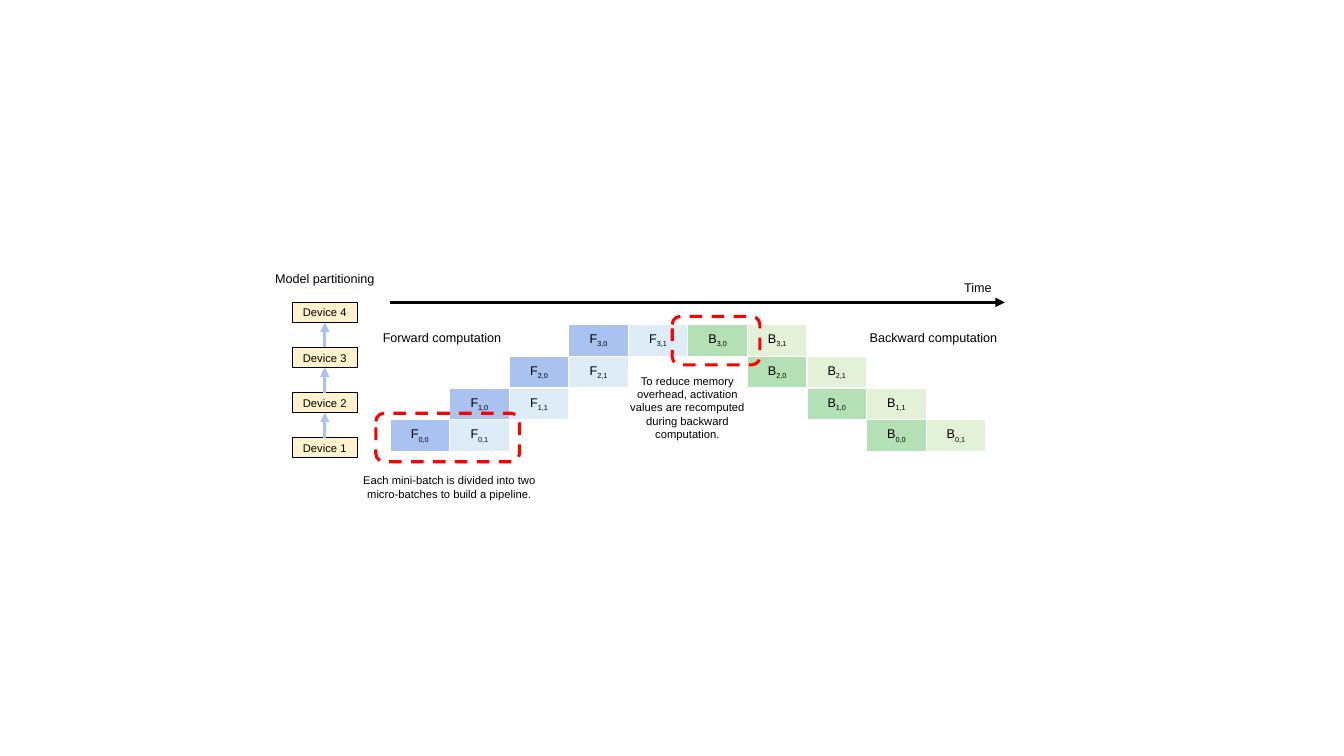
from dataclasses import dataclass

from lxml import etree
from pptx import Presentation
from pptx.dml.color import RGBColor
from pptx.enum.dml import MSO_LINE
from pptx.enum.shapes import MSO_CONNECTOR, MSO_SHAPE
from pptx.enum.text import MSO_ANCHOR, PP_ALIGN
from pptx.oxml.ns import qn
from pptx.util import Pt

RECT, ROUND = MSO_SHAPE.RECTANGLE, MSO_SHAPE.ROUNDED_RECTANGLE
STRAIGHT, DASH = MSO_CONNECTOR.STRAIGHT, MSO_LINE.DASH
LEFT, CENTER, MIDDLE = PP_ALIGN.LEFT, PP_ALIGN.CENTER, MSO_ANCHOR.MIDDLE
NO_MARGINS = {f"margin_{side}": 0 for side in ("left", "right", "top", "bottom")}


@dataclass(frozen=True)
class Theme:
    font: str = "Arial"
    label: float = 9
    small: float = 8
    thin: float = 1
    thick: float = 2.25
    ink: str = "000000"
    blank: str = "FFFFFF"
    device: str = "FFF2CC"
    arrow: str = "A9C2F0"
    callout: str = "FF0000"
    forward: tuple = ("A9C2F0", "DEECF8")
    backward: tuple = ("B3E1B5", "E3F1D9")


THEME = Theme()


def rgb(value):
    return RGBColor.from_string(value)


def apply(target, values):
    for name, value in values.items():
        setattr(target, name, value)


def add_run(p, text, size, baseline=0):
    r = p.add_run()
    r.text = text
    apply(r.font, {"name": THEME.font, "size": Pt(size), "bold": False})
    r.font.color.rgb = rgb(THEME.ink)
    if baseline:
        r._r.get_or_add_rPr().set("baseline", str(baseline))


def set_line(line, color, width):
    line.color.rgb = rgb(color)
    line.width = Pt(width)


def add_label(s, text, box, size, align=CENTER, wrap=True):
    tf = s.shapes.add_textbox(*map(Pt, box)).text_frame
    apply(tf, {"word_wrap": wrap, "margin_left": Pt(7.2), "margin_right": Pt(7.2)})
    p = tf.paragraphs[0]
    p.alignment = align
    add_run(p, text, size)


def add_arrow(s, x1, y1, x2, y2, color):
    arrow = s.shapes.add_connector(STRAIGHT, *map(Pt, (x1, y1, x2, y2)))
    set_line(arrow.line, color, THEME.thick)
    etree.SubElement(arrow.line._get_or_add_ln(), qn("a:tailEnd"), type="triangle")
    etree.SubElement(arrow._element.spPr, qn("a:effectLst"))


def add_devices(s, box, count=4):
    left, top, width, height = box
    device_h = 14.4
    pitch = (height - device_h) / (count - 1)
    center = left + width / 2
    add_label(s, "Model partitioning", (center - 43.2, top - 26, 86.4, 18),
              THEME.label, wrap=False)
    for i in range(count):
        y = top + i * pitch
        sp = s.shapes.add_shape(RECT, *map(Pt, (left, y, width, device_h)))
        sp.shadow.inherit = False
        sp.fill.solid()
        sp.fill.fore_color.rgb = rgb(THEME.device)
        set_line(sp.line, THEME.ink, THEME.thin)
        tf = sp.text_frame
        apply(tf, {**NO_MARGINS, "vertical_anchor": MIDDLE})
        tf.paragraphs[0].alignment = CENTER
        add_run(tf.paragraphs[0], f"Device {count - i}", THEME.small)
    for i in range(count - 1, 0, -1):
        y = top + i * pitch
        add_arrow(s, center, y, center, y - pitch + device_h, THEME.arrow)


def pipeline_steps(devices=4, batches=2):
    steps = {}
    for d in range(devices):
        for m in range(batches):
            row = devices - 1 - d
            steps[row, d + m] = ("F", f"{d},{m}", THEME.forward[m])
            steps[row, 2 * devices - d + m] = ("B", f"{d},{m}", THEME.backward[m])
    return steps


def add_schedule(s, box, rows=4, cols=10):
    left, top, width, height = box
    table = s.shapes.add_table(rows, cols, *map(Pt, box)).table
    apply(table, {"first_row": False, "horz_banding": False})
    for col in table.columns:
        col.width = Pt(width / cols)
    for row in table.rows:
        row.height = Pt(height / rows)
    steps = pipeline_steps(rows)
    for i in range(rows):
        for j in range(cols):
            letter, index, color = steps.get((i, j), ("", "", THEME.blank))
            cell = table.cell(i, j)
            apply(cell, {**NO_MARGINS, "vertical_anchor": MIDDLE})
            cell.fill.solid()
            cell.fill.fore_color.rgb = rgb(color)
            if letter:
                p = cell.text_frame.paragraphs[0]
                p.alignment = CENTER
                add_run(p, letter, THEME.label)
                add_run(p, index, THEME.label, -25000)


def add_annotations(s, box):
    left, top, width, height = box
    right = left + width
    add_arrow(s, left, top - 15.8, left + 439.2, top - 15.8, THEME.ink)
    add_label(s, "Time", (right - 22.6, top - 35.3, 36.7, 18), THEME.label, LEFT, False)
    for text, x, w in (("Forward computation", left - 13, 100.1),
                       ("Backward computation", right - 90.7, 106.6)):
        add_label(s, text, (x, top, w, 18), THEME.label, wrap=False)
    add_label(s, "Each mini-batch is divided into two micro-batches to build a pipeline.",
              (left - 27.4, top + height + 12.3, 139.7, 26.6), THEME.small)
    add_label(s, "To reduce memory overhead, activation values are recomputed "
              "during backward computation.",
              (left + 164.2, top + 31.7, 96.5, 55.4), THEME.small)


def add_callouts(s, box):
    left, top, width, height = box
    for x, y, w in ((left - 10.1, top + 63.4, 102.6), (left + 201.6, top - 5.8, 62.6)):
        sp = s.shapes.add_shape(ROUND, *map(Pt, (x, y, w, 34.6)))
        sp.shadow.inherit = False
        sp.fill.background()
        set_line(sp.line, THEME.callout, THEME.thick)
        sp.line.dash_style = DASH


def main():
    prs = Presentation()
    apply(prs, {"slide_width": Pt(960), "slide_height": Pt(540)})
    s = prs.slides.add_slide(prs.slide_layouts[6])
    schedule = (278.6, 231.8, 425.5, 90.7)
    add_schedule(s, schedule)
    add_annotations(s, schedule)
    add_devices(s, (208.8, 216, 46.4, 111))
    add_callouts(s, schedule)
    prs.save("out.pptx")


if __name__ == "__main__":
    main()
